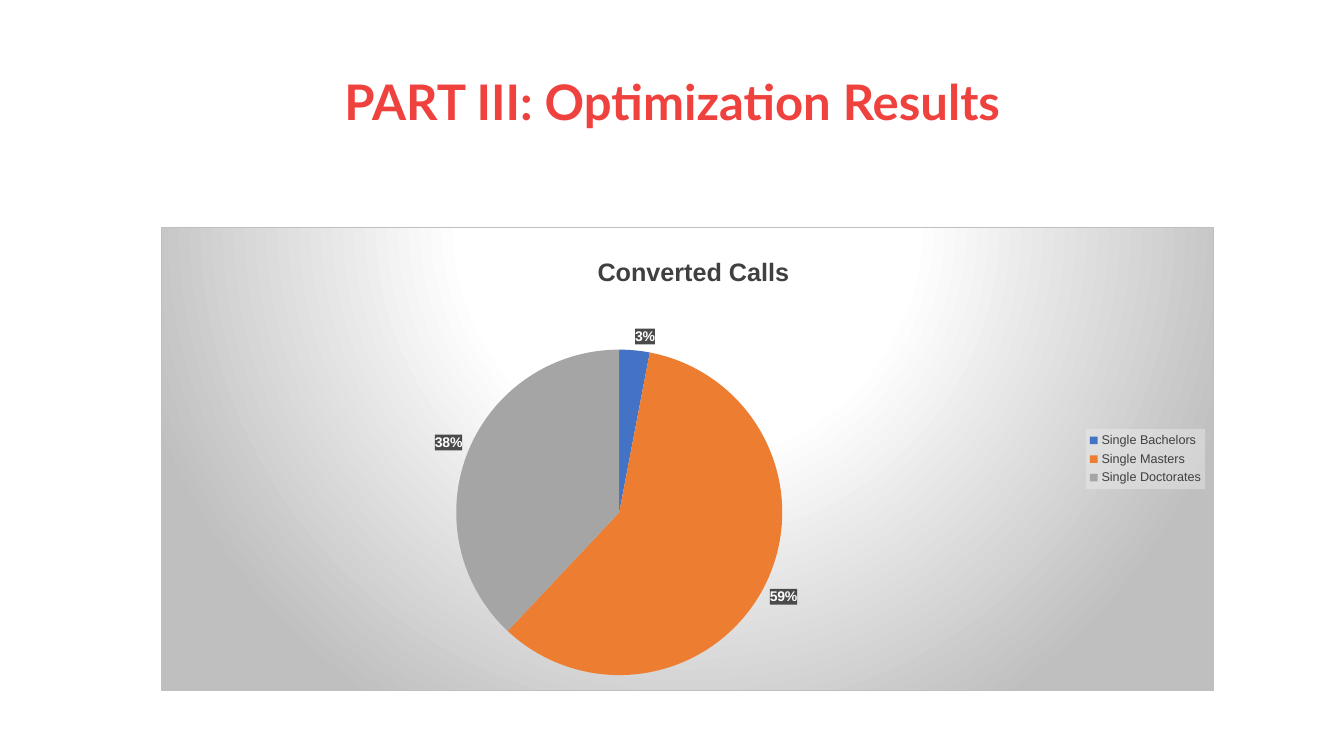
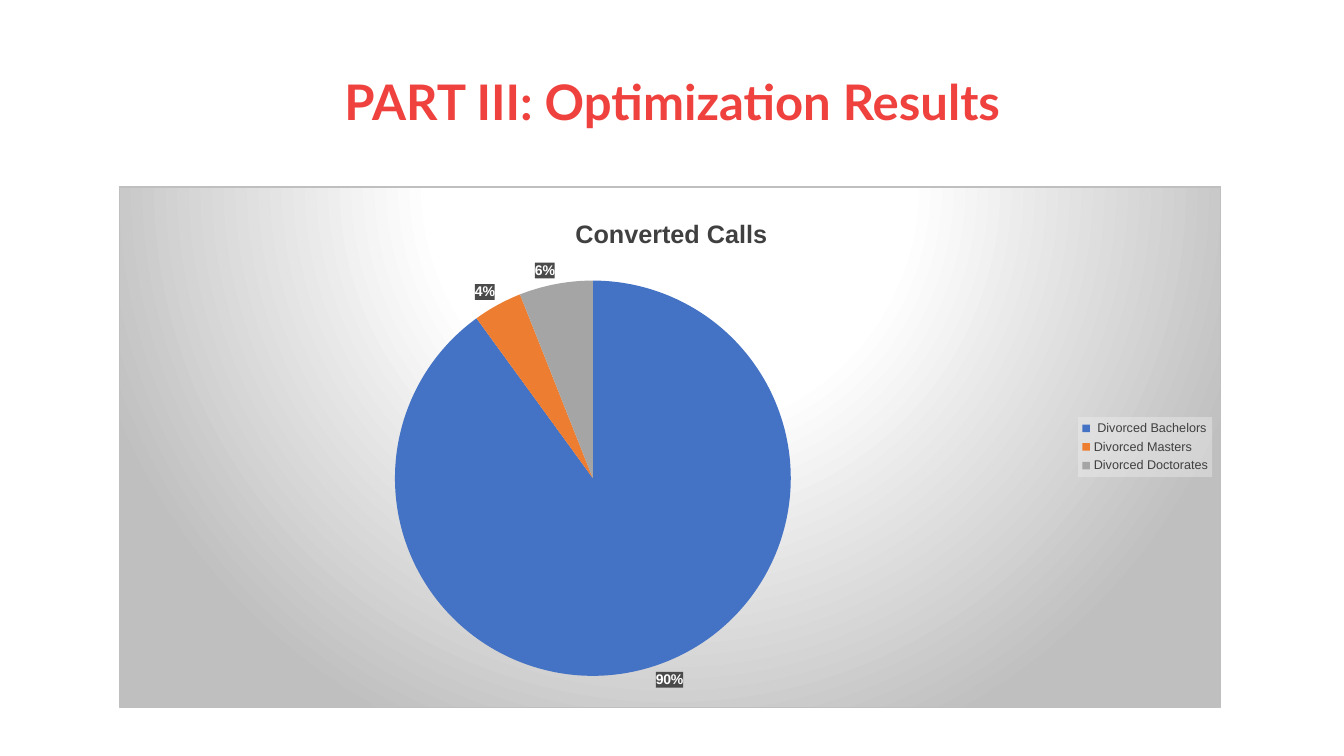
from lxml.etree import fromstring
from pptx import Presentation
from pptx.chart.data import CategoryChartData
from pptx.dml.color import RGBColor
from pptx.enum.chart import (XL_CHART_TYPE as ChartType, XL_LEGEND_POSITION as LegendPosition,
                             XL_LABEL_POSITION as LabelPosition)
from pptx.enum.text import MSO_ANCHOR as Anchor, PP_ALIGN as Align
from pptx.oxml.ns import nsdecls, qn
from pptx.util import Inches, Pt

RED, DARK, WHITE = "EF413D", "404040", "FFFFFF"
LABEL_BACK, LEGEND_BACK, EDGE = "4A4A4A", "F2F2F2", "BFBFBF"
SLICES = ["4472C4", "ED7D31", "A5A5A5"]
HEADING = "PART III: Optimization Results"
DEGREES = ["Bachelors", "Masters", "Doctorates"]


def color(value):
    """Turn a hex string into a colour."""
    return RGBColor.from_string(value)


def solid(value, alpha=100):
    """Return the XML of a solid fill with the given opacity in percent."""
    return (f'<a:solidFill><a:srgbClr val="{value}">'
            f'<a:alpha val="{alpha * 1000}"/></a:srgbClr></a:solidFill>')


def shape_properties(content):
    """Build a chart part's shape properties around fill and line XML."""
    return fromstring(f'<c:spPr {nsdecls("c", "a")}>{content}</c:spPr>')


def set_layout(parent, index, **fractions):
    """Give a chart part a fixed place, in fractions of the chart."""
    for layout in parent.findall(qn("c:layout")):
        parent.remove(layout)
    inner = '<c:layoutTarget val="inner"/>' if "w" in fractions else ""
    modes = "".join(f'<c:{axis}Mode val="edge"/>' for axis in "xy")
    values = "".join(f'<c:{name} val="{value}"/>' for name, value in fractions.items())
    parent.insert(index, fromstring(
        f'<c:layout {nsdecls("c")}><c:manualLayout>{inner}{modes}{values}'
        f'</c:manualLayout></c:layout>'))


class Deck:
    """Hold the shared style and the current slide."""

    def __init__(self):
        """Start a widescreen presentation."""
        self.presentation = Presentation()
        self.presentation.slide_width = Inches(13.33)
        self.presentation.slide_height = Inches(7.5)
        self.slide = None

    def set_font(self, font, size, value, bold=False, name="Arial"):
        """Set size, colour, weight and family of a font."""
        font.name, font.size, font.bold = name, Pt(size), bold
        font.color.rgb = color(value)

    def add_slide(self, heading):
        """Add a blank slide with the centred red heading."""
        self.slide = self.presentation.slides.add_slide(self.presentation.slide_layouts[6])
        box = self.slide.shapes.add_textbox(Inches(0.92), Inches(0.4), Inches(11.5), Inches(1.45))
        frame = box.text_frame
        frame.word_wrap = True
        frame.vertical_anchor = Anchor.MIDDLE
        frame.margin_bottom = Inches(0.23)
        paragraph = frame.paragraphs[0]
        paragraph.text = heading
        paragraph.alignment = Align.CENTER
        paragraph.line_spacing = 0.9
        self.set_font(paragraph.font, 35, RED, True, "Lato")

    def add_pie(self, bounds, title, categories, values, plot):
        """Add a pie chart on a radial grey background."""
        data = CategoryChartData()
        data.categories = categories
        data.add_series("Series 1", values)
        chart = self.slide.shapes.add_chart(
            ChartType.PIE, *[Inches(length) for length in bounds], data).chart
        self.set_font(chart.font, 10, "000000")
        self.style_background(chart)
        self.style_title(chart, title)
        self.style_legend(chart)
        self.style_slices(chart.plots[0])
        plot_area = chart._chartSpace.chart.plotArea
        set_layout(plot_area, 0, **dict(zip("xywh", plot)))

    def style_background(self, chart):
        """Fill the chart with the radial gradient and outline it."""
        stops = "".join(
            f'<a:gs pos="{position * 1000}"><a:srgbClr val="{value}"/></a:gs>'
            for position, value in [(0, WHITE), (39, WHITE), (100, EDGE)])
        chart._chartSpace.chart.addnext(shape_properties(
            f'<a:gradFill><a:gsLst>{stops}</a:gsLst><a:path path="circle">'
            '<a:fillToRect l="50000" t="-80000" r="50000" b="180000"/></a:path></a:gradFill>'
            f'<a:ln w="{Pt(0.75)}">{solid(EDGE)}</a:ln>'))

    def style_title(self, chart, title):
        """Write the chart title near the top."""
        chart.has_title = True
        paragraph = chart.chart_title.text_frame.paragraphs[0]
        paragraph.text = title
        self.set_font(paragraph.font, 18, DARK, True)
        set_layout(chart._chartSpace.chart.find(qn("c:title")), 1, x=0.41, y=0.05)

    def style_legend(self, chart):
        """Put a legend on a translucent panel at the right."""
        chart.has_legend = True
        legend = chart.legend
        legend.position = LegendPosition.RIGHT
        legend.include_in_layout = False
        self.set_font(legend.font, 9, DARK)
        overlay = legend._element.find(qn("c:overlay"))
        overlay.addnext(shape_properties(solid(LEGEND_BACK, 39)))

    def style_slices(self, pie):
        """Colour the slices and label them with percentages."""
        pie.vary_by_categories = True
        series = pie.series[0]
        for index, value in enumerate(SLICES):
            fill = series.points[index].format.fill
            fill.solid()
            fill.fore_color.rgb = color(value)
        labels = series.data_labels
        labels.show_percentage = True
        labels.show_value = False
        labels.number_format = "0%"
        labels.number_format_is_linked = False
        labels.position = LabelPosition.OUTSIDE_END
        self.set_font(labels.font, 10, WHITE, True)
        number_format = labels._element.find(qn("c:numFmt"))
        number_format.addnext(shape_properties(solid(LABEL_BACK)))


deck = Deck()

deck.add_slide(HEADING)
deck.add_pie((1.6, 2.25, 10.44, 4.61), "Converted Calls",
             [f"Single {degree}" for degree in DEGREES], (3, 59, 38),
             plot=(0.28, 0.26, 0.31, 0.71))

deck.add_slide(HEADING)
deck.add_pie((1.18, 1.85, 10.93, 5.17), "Converted Calls",
             [" Divorced Bachelors"] + [f"Divorced {degree}" for degree in DEGREES[1:]],
             (90, 4, 6), plot=(0.25, 0.18, 0.36, 0.76))

deck.presentation.save("out.pptx")
